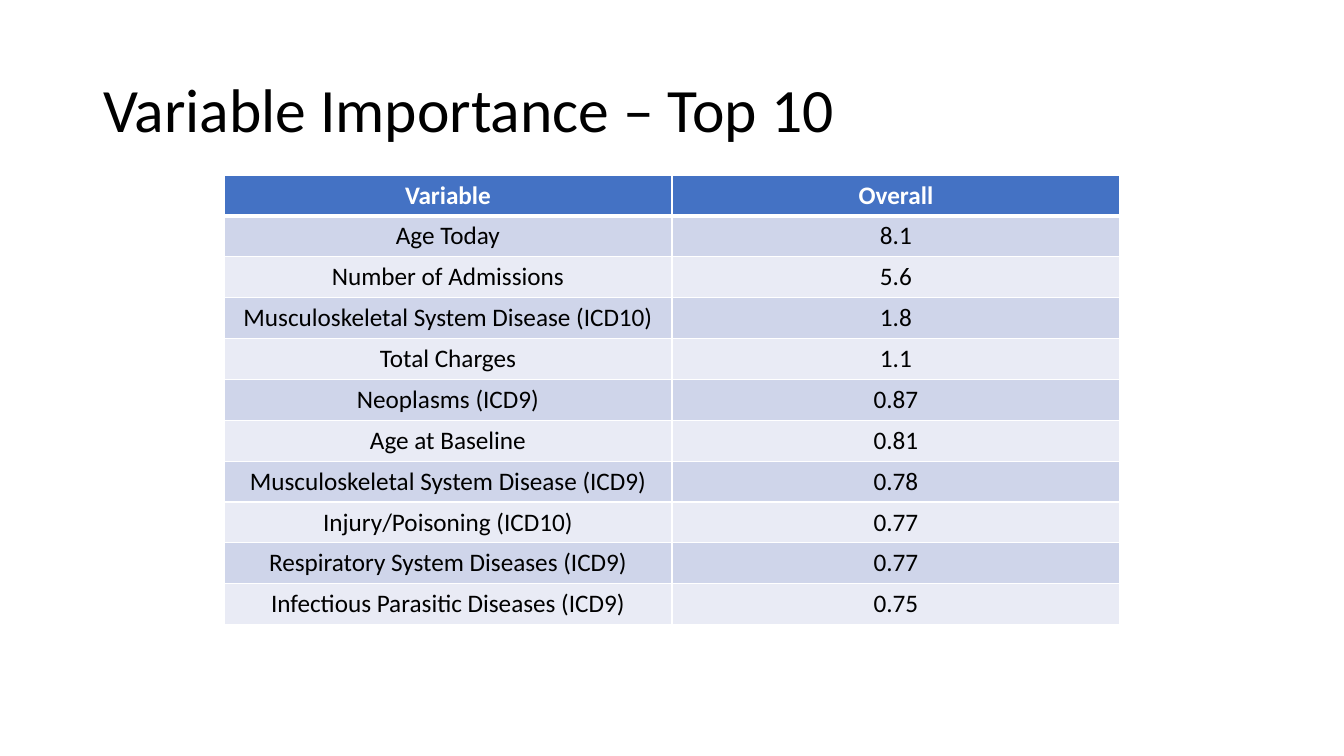
from lxml import etree
from pptx import Presentation
from pptx.dml.color import RGBColor
from pptx.enum.text import MSO_ANCHOR, PP_ALIGN
from pptx.oxml.ns import qn
from pptx.util import Emu, Pt

MIDDLE = MSO_ANCHOR.MIDDLE
LEFT, CENTER = PP_ALIGN.LEFT, PP_ALIGN.CENTER

BLACK = RGBColor(0x00, 0x00, 0x00)
WHITE = RGBColor(0xFF, 0xFF, 0xFF)
HEADER_BLUE = RGBColor(0x44, 0x72, 0xC4)
BANDS = (RGBColor(0xE9, 0xEB, 0xF5), RGBColor(0xCF, 0xD5, 0xEA))

FONT = "Calibri"
EMU_PER_INCH = 914400
PIXELS_PER_INCH = 100.8
SLIDE_SIZE = (1344, 756)
TITLE_BOX = (93, 40, 1159, 146)
TABLE_BOX = (224, 175, 896, 450)

IMPORTANCE = [
    ("Variable", "Overall"),
    ("Age Today", "8.1"),
    ("Number of Admissions", "5.6"),
    ("Musculoskeletal System Disease (ICD10)", "1.8"),
    ("Total Charges", "1.1"),
    ("Neoplasms (ICD9)", "0.87"),
    ("Age at Baseline", "0.81"),
    ("Musculoskeletal System Disease (ICD9)", "0.78"),
    ("Injury/Poisoning (ICD10)", "0.77"),
    ("Respiratory System Diseases (ICD9)", "0.77"),
    ("Infectious Parasitic Diseases (ICD9)", "0.75"),
]


def px(pixels):
    return Emu(round(pixels * EMU_PER_INCH / PIXELS_PER_INCH))


def write(frame, text, size, color, align, bold=False):
    frame.text = text
    paragraph = frame.paragraphs[0]
    paragraph.alignment = align
    font = paragraph.runs[0].font
    font.name, font.size, font.bold = FONT, Pt(size), bold
    font.color.rgb = color
    return paragraph


def set_borders(cell, top, bottom):
    """White borders; widths in points, sides always 1."""
    properties = cell._tc.get_or_add_tcPr()
    for side, width in (("L", 1), ("R", 1), ("T", top), ("B", bottom)):
        line = etree.SubElement(properties, qn(f"a:ln{side}"), w=str(Pt(width)))
        fill = etree.SubElement(line, qn("a:solidFill"))
        etree.SubElement(fill, qn("a:srgbClr"), val=str(WHITE))


def add_title(slide, box):
    title = slide.shapes.title
    title.left, title.top, title.width, title.height = map(px, box)
    frame = title.text_frame
    frame.word_wrap = True
    frame.vertical_anchor = MIDDLE
    heading = write(frame, "Variable Importance – Top 10", 44, BLACK, LEFT)
    heading.line_spacing = 0.9


def add_importance_table(slide, box):
    row_count, column_count = len(IMPORTANCE), len(IMPORTANCE[0])
    table = slide.shapes.add_table(row_count, column_count, *map(px, box)).table
    for column in table.columns:
        column.width = px(box[2] / column_count)
    for row_index, (row, values) in enumerate(zip(table.rows, IMPORTANCE)):
        row.height = px(box[3] / row_count)
        header = row_index == 0
        for cell, value in zip(row.cells, values):
            # The rule under the header is thicker than the grid
            set_borders(cell, 3 if row_index == 1 else 1, 3 if header else 1)
            cell.fill.solid()
            cell.fill.fore_color.rgb = HEADER_BLUE if header else BANDS[row_index % 2]
            write(cell.text_frame, value, 18, WHITE if header else BLACK, CENTER, header)


presentation = Presentation()
presentation.slide_width, presentation.slide_height = map(px, SLIDE_SIZE)
title_only = presentation.slide_layouts.get_by_name("Title Only")
slide = presentation.slides.add_slide(title_only)
add_title(slide, TITLE_BOX)
add_importance_table(slide, TABLE_BOX)
presentation.save("out.pptx")
